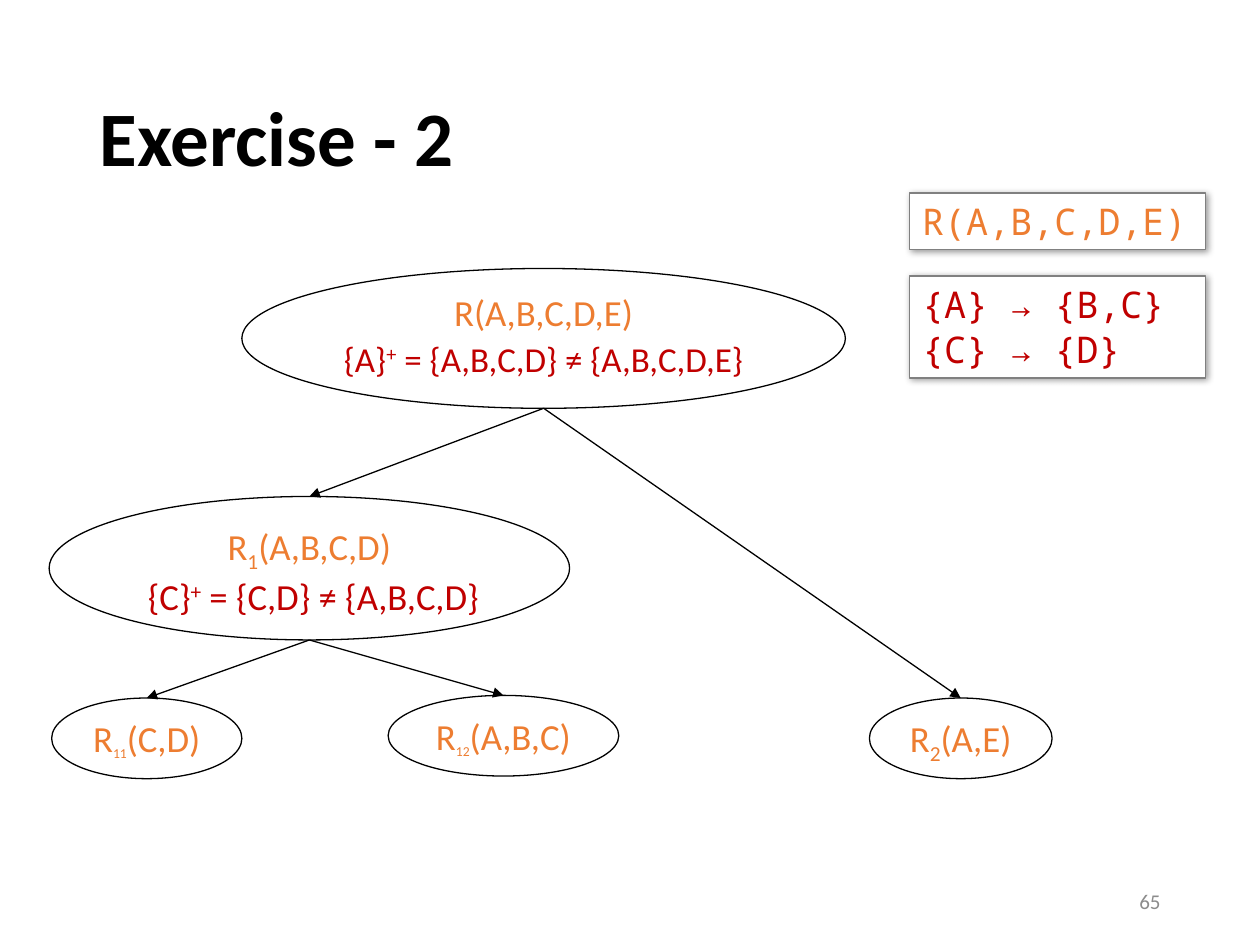
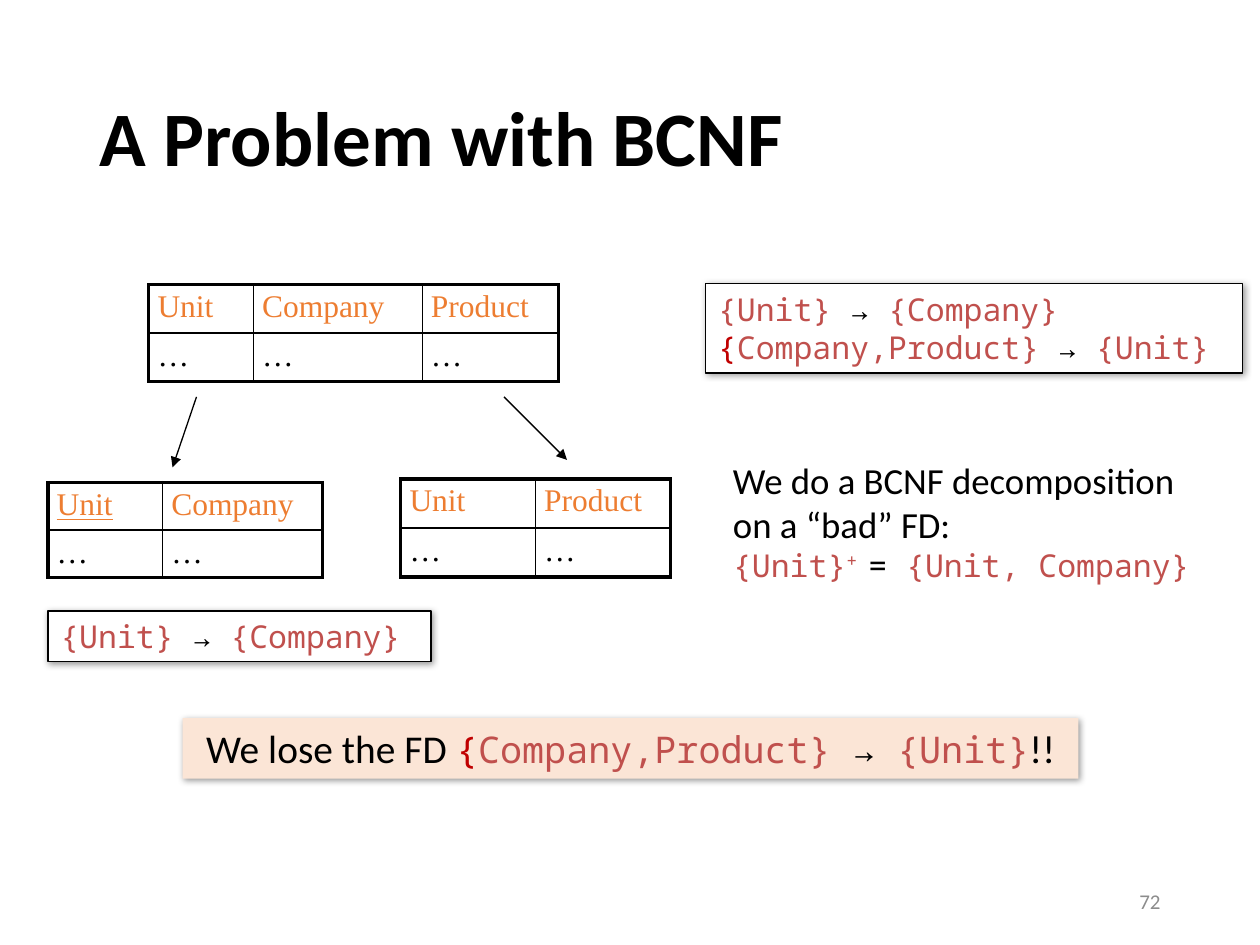
from lxml import etree
from pptx import Presentation
from pptx.dml.color import RGBColor
from pptx.enum import shapes, text
from pptx.oxml.ns import qn
from pptx.util import Pt

BLACK, ORANGE, RED, BRICK = "000000", "ED7D31", "C00000", "C0504D"
SANS, MONO, SERIF = "Calibri", "Noto Sans Mono", "Times New Roman"
LEFT, MID, RIGHT = text.PP_ALIGN.LEFT, text.PP_ALIGN.CENTER, text.PP_ALIGN.RIGHT


def color(tint):
    return RGBColor.from_string(tint)


def form(size, face, tint, **more):
    return dict(size=Pt(size), name=face, color=tint, **more)


TITLE = form(44, SANS, BLACK, bold=True)
PAGE = form(12, SANS, "8C8C8C")
NODE = form(21, SANS, ORANGE)
TINY = form(13.5, SANS, ORANGE)
RULE = form(21, SANS, RED)
SMALL = form(20, SANS, RED)
PROSE = form(21, SANS, BLACK)
LOUD = form(22.5, SANS, BLACK)
HEAD = form(18, SERIF, ORANGE)
KEY = dict(HEAD, underline=True)
CELL = form(18, SERIF, BLACK)
SUB, SUP = -25, 30


def mono(size, tint):
    return form(size, MONO, tint)


def arrow(left, right, size=18, first=BRICK):
    return [(left[0], mono(size, first)), (left[1:] + " ", mono(size, BRICK)),
            ("→", mono(size, BLACK)), (" " + right, mono(size, BRICK))]


def add(parent, tag, **attrs):
    return etree.SubElement(parent, qn(tag), {k: str(v) for k, v in attrs.items()})


class Deck:
    def __init__(self):
        self.prs = Presentation()
        self.prs.slide_width, self.prs.slide_height = Pt(720), Pt(540)

    def page(self, title, number):
        self.slide = self.prs.slides.add_slide(self.prs.slide_layouts[5])
        head = self.slide.shapes.title
        spot = dict(left=49.7, top=28.8, width=620.6, height=104.4)
        for name, val in spot.items():
            setattr(head, name, Pt(val))
        self.put(head, [[(title, TITLE)]], LEFT, True, 0.9, anchor=text.MSO_ANCHOR.MIDDLE)
        self.label((508.3, 500.4, 162, 28.8), [[(number, PAGE)]], RIGHT,
                   text.MSO_ANCHOR.MIDDLE)

    def style(self, font, values):
        for name, val in values.items():
            if name == "color":
                font.color.rgb = color(val)
            else:
                setattr(font, name, val)

    def put(self, shape, lines, align=LEFT, wrap=True, pitch=None, gap=0,
            anchor=text.MSO_ANCHOR.TOP):
        frame = shape.text_frame
        values = dict(word_wrap=wrap, vertical_anchor=anchor,
                      auto_size=text.MSO_AUTO_SIZE.NONE)
        for name, val in values.items():
            setattr(frame, name, val)
        for i, line in enumerate(lines):
            para = frame.add_paragraph() if i else frame.paragraphs[0]
            para.alignment = align
            para.space_before = Pt(gap if i else 0)
            if pitch:
                para.line_spacing = pitch
            for words, values, *base in line:
                run = para.add_run()
                run.text = words
                self.style(run.font, values)
                if base:
                    run.font._element.set("baseline", str(base[0] * 1000))

    def label(self, area, lines, align=LEFT, anchor=text.MSO_ANCHOR.TOP):
        box = self.slide.shapes.add_textbox(*map(Pt, area))
        self.put(box, lines, align, anchor=anchor)

    def shape(self, kind, area, fill=None, edge=BLACK):
        item = self.slide.shapes.add_shape(kind, *map(Pt, area))
        item.shadow.inherit = False
        if fill:
            item.fill.solid()
            item.fill.fore_color.rgb = color(fill)
        else:
            item.fill.background()
        if edge:
            item.line.color.rgb = color(edge)
            item.line.width = Pt(0.75)
        else:
            item.line.fill.background()
        return item

    def oval(self, area, lines, **more):
        item = self.shape(shapes.MSO_SHAPE.OVAL, area)
        self.put(item, lines, MID, False, **more)
        return item

    def card(self, area, lines, fill="FFFFFF", edge=BLACK, align=LEFT):
        item = self.shape(shapes.MSO_SHAPE.RECTANGLE, area, fill, edge)
        glow = add(item._element.spPr.find(qn("a:effectLst")), "a:outerShdw",
                   blurRad=Pt(4), dist=Pt(1), dir=45 * 60000, rotWithShape=0)
        add(add(glow, "a:srgbClr", val=BLACK), "a:alpha", val=40000)
        self.put(item, lines, align)

    def line(self, start, end):
        link = self.slide.shapes.add_connector(
            shapes.MSO_CONNECTOR.STRAIGHT, *map(Pt, start + end))
        link.line.color.rgb = color(BLACK)
        link.line.width = Pt(0.75)
        add(link.line._get_or_add_ln(), "a:tailEnd", type="triangle")
        add(link._element.spPr, "a:effectLst")
        return link

    def branch(self, upper, lower):
        start = ((upper.left + upper.width / 2) / Pt(1),
                 (upper.top + upper.height) / Pt(1))
        self.line(start, start).end_connect(lower, 0)

    def table(self, spot, widths, high, heads, key=False):
        area = (*spot, sum(widths), 2 * high)
        grid = self.slide.shapes.add_table(2, len(widths), *map(Pt, area)).table
        grid.first_row = grid.horz_banding = False
        for col, wide in zip(grid.columns, widths):
            col.width = Pt(wide)
        last = len(widths) - 1
        for r in range(2):
            grid.rows[r].height = Pt(high)
            for c, name in enumerate(heads):
                cell = grid.cell(r, c)
                cell.fill.background()
                pads = dict(left=5, right=5, top=2.9, bottom=2.9)
                for side, pad in pads.items():
                    setattr(cell, "margin_" + side, Pt(pad))
                run = cell.text_frame.paragraphs[0].add_run()
                run.text = "…" if r else name
                self.style(run.font, CELL if r else KEY if key and c == 0 else HEAD)
                outer = dict(L=c == 0, R=c == last, T=r == 0, B=r == 1)
                self.frame(cell, outer)

    def frame(self, cell, outer):
        props = cell._tc.get_or_add_tcPr()
        for i, (side, thick) in enumerate(outer.items()):
            edge = add(props, "a:ln" + side, w=Pt(2.25 if thick else 1))
            add(add(edge, "a:solidFill"), "a:srgbClr", val=BLACK)
            props.insert(i, edge)


def tree(deck):
    deck.page("Exercise - 2", "65")
    root = deck.oval((138.2, 153.4, 344.9, 79.9), [
        [("R(A,B,C,D,E)", NODE)],
        [("{A}", SMALL), ("+", SMALL, SUP), (" = {A,B,C,D} ≠ {A,B,C,D,E}", SMALL)],
    ], pitch=0.9, gap=4)
    left = deck.oval((28.1, 283.7, 297.4, 82), [
        [("R", NODE), ("1", NODE, SUB), ("(A,B,C,D)", NODE)],
        [(" ", NODE), ("{C}", RULE), ("+", RULE, SUP), (" = {C,D} ≠ {A,B,C,D}", RULE)],
    ])
    leaves = [
        (root, (496.8, 398.9, 104.4), "2", NODE, "(A,E)"),
        (left, (29.5, 398.9, 108.7), "11", TINY, "(C,D)"),
        (left, (221.8, 397.4, 131.8), "12", TINY, "(A,B,C)"),
    ]
    deck.branch(root, left)
    for upper, spot, mark, size, rest in leaves:
        leaf = deck.oval((*spot, 46.1),
                         [[("R", NODE), (mark, size, SUB), (rest, NODE)]])
        deck.branch(upper, leaf)
    deck.card((519.8, 110.2, 169.2, 32.4),
              [[("R(A,B,C,D,E)", mono(21, ORANGE))]], edge="808080")
    deck.card((519.8, 157.7, 169.2, 58.3),
              [[(rule, mono(21, RED))] for rule in ("{A} → {B,C}", "{C} → {D}")],
              edge="808080")


def loss(deck):
    deck.page("A Problem with BCNF", "72")
    unit = arrow("{Unit}", "{Company}")
    pair = "{Company,Product}"
    deck.card((403.2, 162, 306.7, 51.1), [unit, arrow(pair, "{Unit}", first=RED)])
    deck.label((411.8, 257.8, 285.8, 79.9), [
        [("We do a BCNF decomposition on a “bad” FD:", PROSE)],
        [("{Unit}", mono(18, BRICK)), ("+ ", mono(18, BRICK), SUP),
         ("=", mono(18, BLACK)), (" {Unit, Company}", mono(18, BRICK))],
    ])
    deck.card((104.4, 410.4, 511.9, 34.6),
              [[("We lose the FD ", LOUD), *arrow(pair, "{Unit}", 21, RED), ("!!", LOUD)]],
              "FBE5D6", None, MID)
    deck.table((85, 162.7), (59.8, 96.5, 77.8), 27.6, ("Unit", "Company", "Product"))
    deck.table((27.4, 275.8), (65.5, 91.4), 27.1, ("Unit", "Company"), key=True)
    deck.table((229, 273.6), (77, 77), 28.1, ("Unit", "Product"))
    deck.line((112.3, 226.8), (98.6, 267.1))
    deck.line((288, 226.8), (324, 262.8))
    deck.card((27.4, 349.2, 218.9, 28.8), [unit])


def main():
    deck = Deck()
    tree(deck)
    loss(deck)
    deck.prs.save("out.pptx")


if __name__ == "__main__":
    main()
